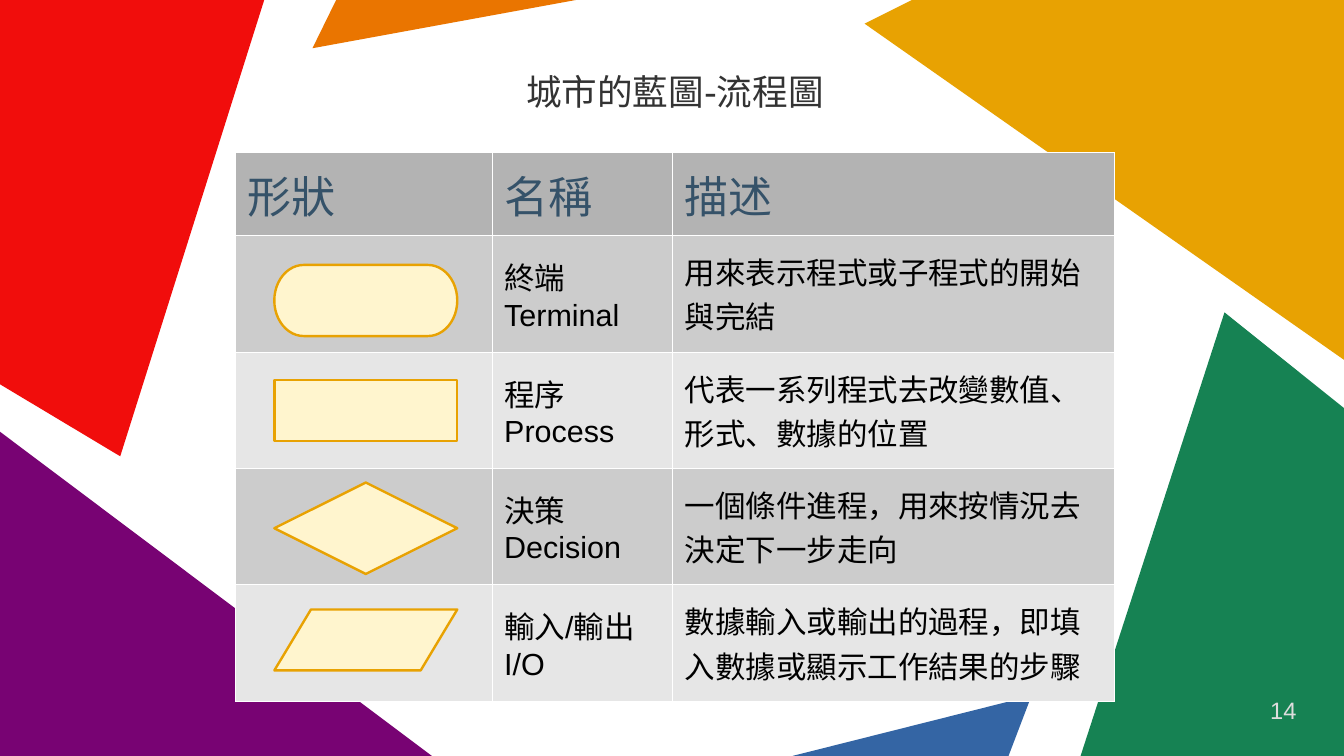
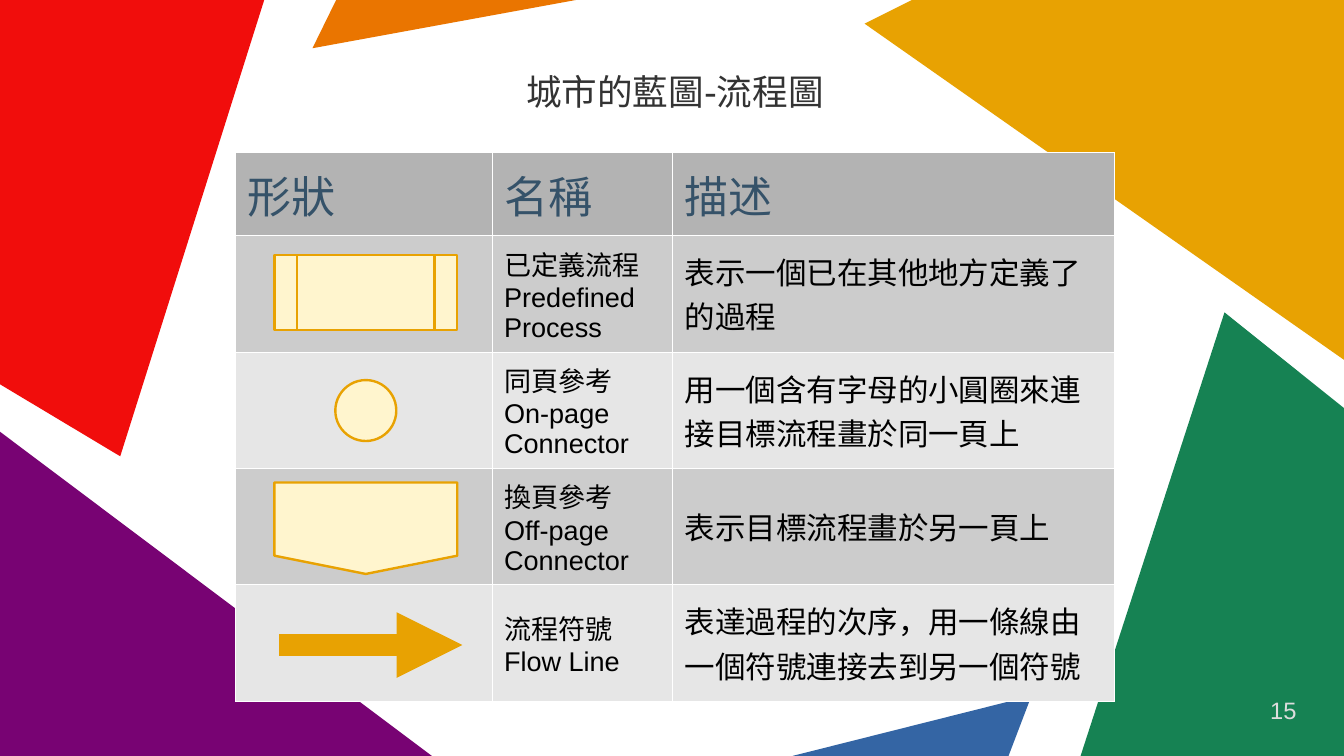
from dataclasses import dataclass
from typing import Any, Optional

from lxml import etree
from pptx import Presentation, util as u
from pptx.dml import color
from pptx.enum import shapes, text
from pptx.oxml import ns

Pt = u.Pt
Kind = shapes.MSO_SHAPE


@dataclass(frozen=True)
class Theme:
    ink: str = "000000"
    title: str = "333333"
    head: str = "355269"
    page: str = "DDDDDD"
    rule: str = "FFFFFF"
    bands: tuple = ("B3B3B3", "CCCCCC", "E6E6E6")
    cream: str = "FFF5CE"
    gold: str = "E8A202"
    font: str = "Arial"
    title_font: str = "DejaVu Sans"
    title_size: float = 21
    head_size: float = 26
    text_size: float = 18
    page_size: float = 14
    edge: float = 1.42
    arrow: float = 12.95


@dataclass(frozen=True)
class Patch:
    fill: str
    points: tuple


@dataclass(frozen=True)
class Symbol:
    kind: Optional[Kind]
    top: float
    high: float = 0
    wide: float = 108
    mid: float = 216


@dataclass(frozen=True)
class Entry:
    symbol: Symbol
    name: str
    about: str


@dataclass(frozen=True)
class Page:
    number: int
    name_size: float
    entries: tuple


THEME = Theme()
WIDE, HIGH = 793.5, 446.5
LEFT, TOP, SPAN = 139, 90, 519
COLS = (151.5, 106.5, 261)
ROWS = (49,) + (68.75,) * 4
HEADS = ("形狀", "名稱", "描述")
TITLE = "城市的藍圖-流程圖"
NO_INSET = dict.fromkeys(
    ("margin_left", "margin_top", "margin_right", "margin_bottom"), 0)

PATCHES = (
    Patch("F10D0C", ((0, 0), (0, 227), (71, 269.5), (156, 0))),
    Patch("EA7500", ((198.5, 0), (184.5, 28.5), (340, 0))),
    Patch(THEME.gold, ((WIDE, 0), (538.5, 0), (510.5, 14), (WIDE, 212.5))),
    Patch("168253", ((WIDE, HIGH), (WIDE, 241), (723, 184.5), (638, HIGH))),
    Patch("3465A4", ((595.5, HIGH), (609, 411), (468, HIGH))),
    Patch("780373", ((0, 255), (0, HIGH), (255, HIGH))),
)

PAGES = (
    Page(14, 18, (
        Entry(Symbol(Kind.FLOWCHART_TERMINATOR, 156.5, 42),
              "終端\nTerminal", "用來表示程式或子程式的開始與完結"),
        Entry(Symbol(Kind.FLOWCHART_PROCESS, 224.5, 36),
              "程序\nProcess", "代表一系列程式去改變數值、形式、數據的位置"),
        Entry(Symbol(Kind.FLOWCHART_DECISION, 285, 54),
              "決策\nDecision", "一個條件進程，用來按情況去決定下一步走向"),
        Entry(Symbol(Kind.FLOWCHART_DATA, 360, 36),
              "輸入/輸出\nI/O",
              "數據輸入或輸出的過程，即填入數據或顯示工作結果的步驟"),
    )),
    Page(15, 16, (
        Entry(Symbol(Kind.FLOWCHART_PREDEFINED_PROCESS, 150.5, 44.5),
              "已定義流程\nPredefined Process",
              "表示一個已在其他地方定義了的過程"),
        Entry(Symbol(Kind.FLOWCHART_CONNECTOR, 224.5, 36, 36),
              "同頁參考\nOn-page Connector",
              "用一個含有字母的小圓圈來連接目標流程畫於同一頁上"),
        Entry(Symbol(Kind.FLOWCHART_OFFPAGE_CONNECTOR, 285, 54),
              "換頁參考\nOff-page Connector", "表示目標流程畫於另一頁上"),
        Entry(Symbol(None, 381, mid=219), "流程符號\nFlow Line",
              "表達過程的次序，用一條線由一個符號連接去到另一個符號"),
    )),
)


def rgb(code: str) -> color.RGBColor:
    return color.RGBColor.from_string(code)


def apply(target: Any, values: dict) -> None:
    for name, value in values.items():
        setattr(target, name, value)


def paint(item: Any, code: str) -> None:
    item.fill.solid()
    item.fill.fore_color.rgb = rgb(code)


def write(frame: Any, words: str, size: float, ink: str,
          font: str = THEME.font, **layout: Any) -> None:
    frame.text = words
    for para in frame.paragraphs:
        apply(para, layout)
        for run in para.runs:
            apply(run.font, {"size": Pt(size), "name": font, "bold": False})
            run.font.color.rgb = rgb(ink)


def add_patch(slide: Any, layout: Any, patch: Patch, number: int) -> None:
    first, *rest = [(Pt(x), Pt(y)) for x, y in patch.points]
    pen = slide.shapes.build_freeform(*first)
    pen.add_line_segments(rest, close=True)
    shape = pen.convert_to_shape()
    shape.shadow.inherit = False
    paint(shape, patch.fill)
    shape.line.fill.background()
    shape.element.nvSpPr.cNvPr.id = number
    layout.element.cSld.spTree.append(shape.element)


def add_title(slide: Any) -> None:
    title = slide.shapes.title
    apply(title, {"left": Pt(LEFT), "top": Pt(18),
                  "width": Pt(SPAN), "height": Pt(75)})
    frame = title.text_frame
    apply(frame, {**NO_INSET, "word_wrap": True,
                  "auto_size": text.MSO_AUTO_SIZE.NONE,
                  "vertical_anchor": text.MSO_ANCHOR.MIDDLE})
    write(frame, TITLE, THEME.title_size, THEME.title, THEME.title_font,
          alignment=text.PP_ALIGN.CENTER, line_spacing=0.9)


def add_rules(cell: Any) -> None:
    props = cell._tc.get_or_add_tcPr()
    for place, side in enumerate(("lnL", "lnR", "lnT", "lnB")):
        line = etree.Element(ns.qn(f"a:{side}"), w=str(Pt(0.06)))
        fill = etree.SubElement(line, ns.qn("a:solidFill"))
        etree.SubElement(fill, ns.qn("a:srgbClr"), val=THEME.rule)
        props.insert(place, line)


def add_grid(slide: Any, page: Page) -> None:
    frame = slide.shapes.add_table(len(ROWS), len(COLS), Pt(LEFT), Pt(TOP),
                                   Pt(SPAN), Pt(sum(ROWS)))
    table = frame.table
    apply(table, {"first_row": False, "horz_banding": False})
    for col, width in zip(table.columns, COLS):
        col.width = Pt(width)
    for row, height in zip(table.rows, ROWS):
        row.height = Pt(height)
    lines = [HEADS] + [("", item.name, item.about) for item in page.entries]
    sizes = (THEME.text_size, page.name_size, THEME.text_size)
    for r, line in enumerate(lines):
        band = THEME.bands[0 if r == 0 else 2 - r % 2]
        ink = THEME.ink if r else THEME.head
        for c, words in enumerate(line):
            cell = table.cell(r, c)
            cell.vertical_anchor = text.MSO_ANCHOR.MIDDLE
            paint(cell, band)
            add_rules(cell)
            if words:
                size = sizes[c] if r else THEME.head_size
                write(cell.text_frame, words, size, ink)


def add_arrow(slide: Any, symbol: Symbol) -> None:
    half = symbol.wide / 2
    arrow = slide.shapes.add_connector(
        shapes.MSO_CONNECTOR.STRAIGHT, Pt(symbol.mid - half), Pt(symbol.top),
        Pt(symbol.mid + half), Pt(symbol.top))
    arrow.line.color.rgb = rgb(THEME.gold)
    arrow.line.width = Pt(THEME.arrow)
    etree.SubElement(arrow.line._get_or_add_ln(), ns.qn("a:tailEnd"),
                     type="triangle")
    etree.SubElement(arrow.element.spPr, ns.qn("a:effectLst"))


def add_symbol(slide: Any, symbol: Symbol) -> None:
    if symbol.kind is None:
        add_arrow(slide, symbol)
        return
    shape = slide.shapes.add_shape(
        symbol.kind, Pt(symbol.mid - symbol.wide / 2), Pt(symbol.top),
        Pt(symbol.wide), Pt(symbol.high))
    shape.shadow.inherit = False
    paint(shape, THEME.cream)
    shape.line.color.rgb = rgb(THEME.gold)
    shape.line.width = Pt(THEME.edge)


def add_number(slide: Any, number: int) -> None:
    box = slide.shapes.add_textbox(Pt(581), Pt(411), Pt(184.5), Pt(28))
    apply(box.text_frame, {**NO_INSET, "word_wrap": True})
    write(box.text_frame, str(number), THEME.page_size, THEME.page,
          alignment=text.PP_ALIGN.RIGHT)


def main() -> None:
    deck = Presentation()
    apply(deck, {"slide_width": Pt(WIDE), "slide_height": Pt(HIGH)})
    layout = deck.slide_layouts[5]
    slides = [deck.slides.add_slide(layout) for _ in PAGES]
    for number, patch in enumerate(PATCHES, 101):
        add_patch(slides[0], layout, patch, number)
    for slide, page in zip(slides, PAGES):
        add_title(slide)
        add_grid(slide, page)
        for entry in page.entries:
            add_symbol(slide, entry.symbol)
        add_number(slide, page.number)
    deck.save("out.pptx")


if __name__ == "__main__":
    main()
